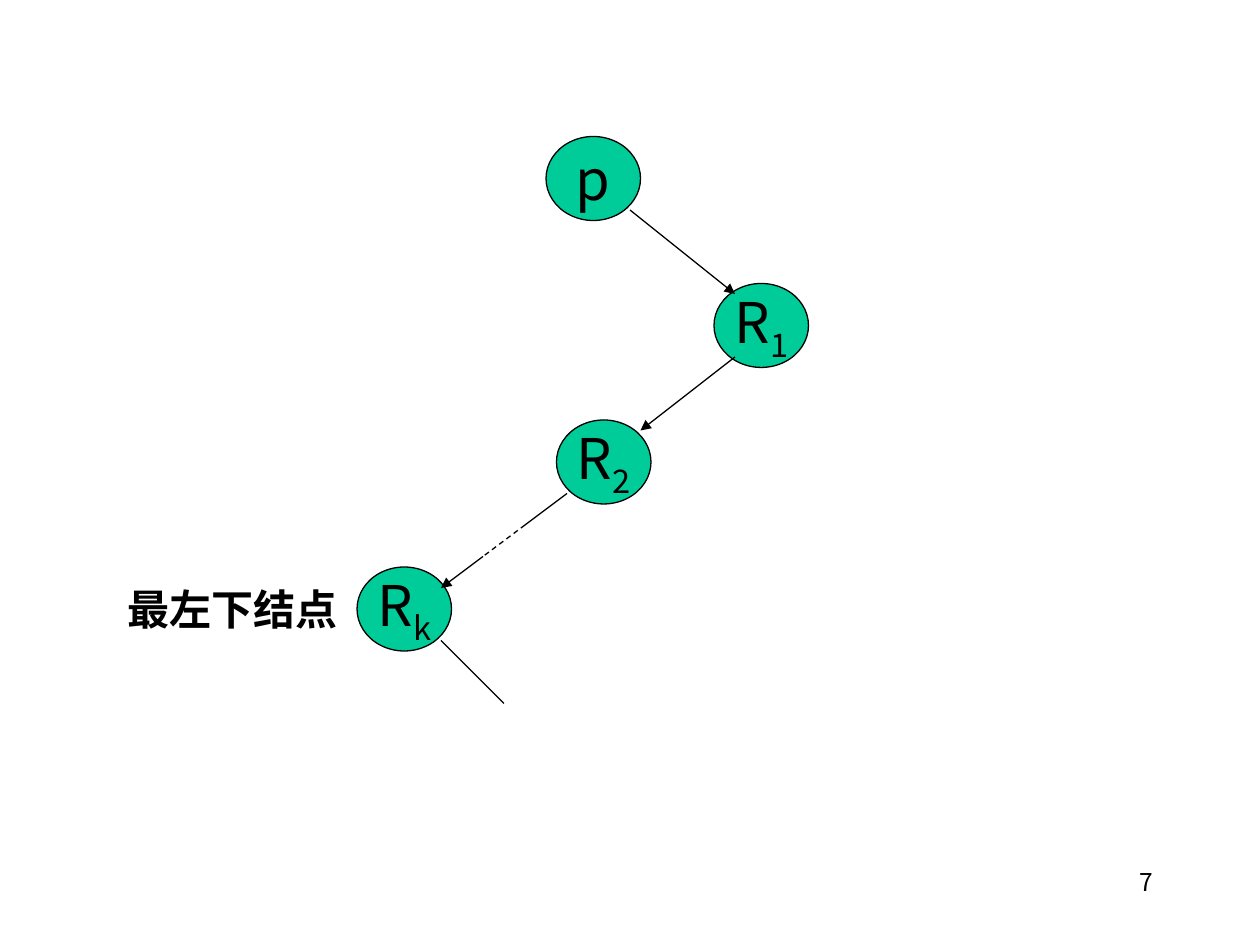
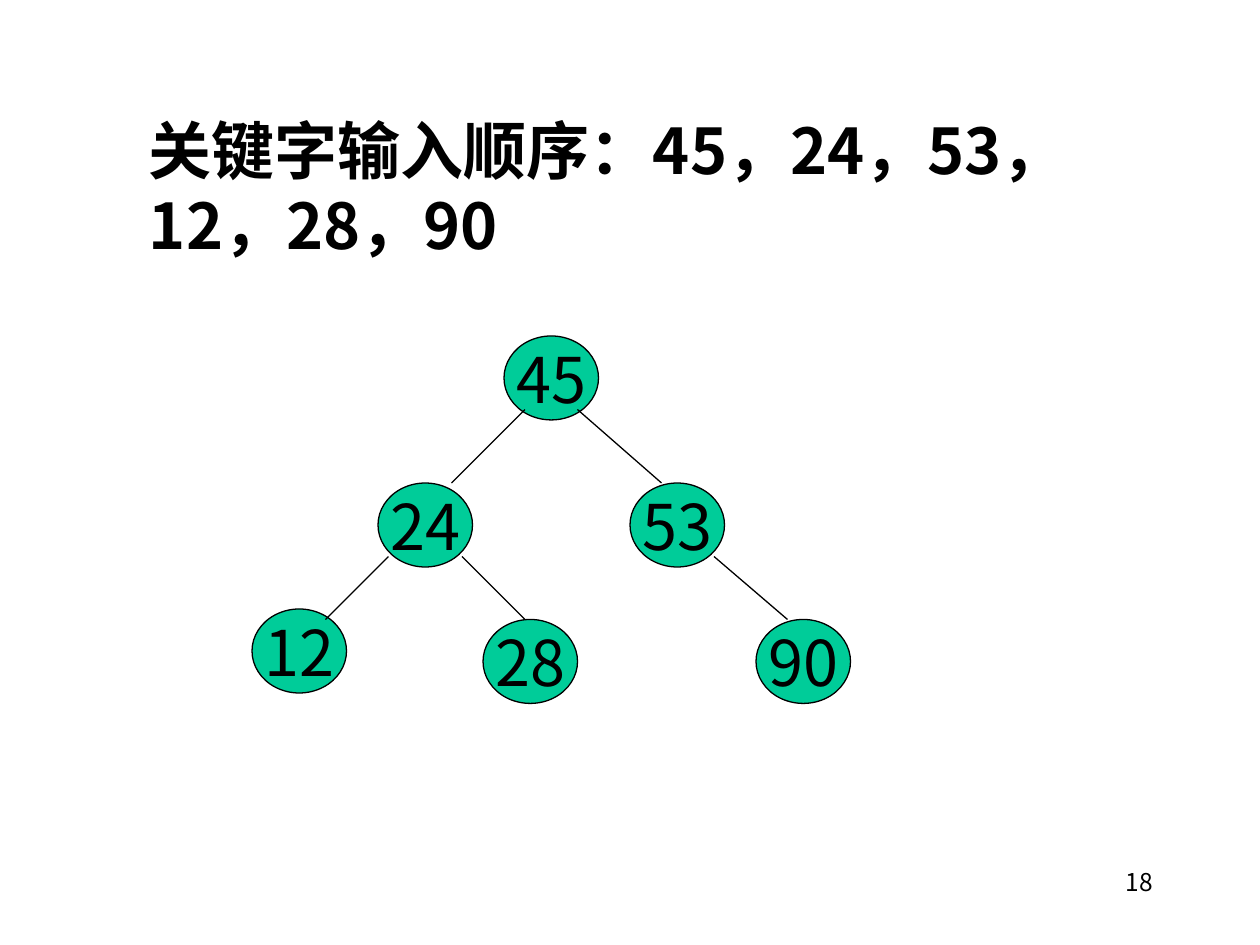
from dataclasses import dataclass

from lxml.etree import SubElement
from pptx import Presentation
from pptx.dml.color import RGBColor
from pptx.enum.dml import MSO_LINE
from pptx.enum.shapes import MSO_CONNECTOR, MSO_SHAPE
from pptx.enum.text import MSO_ANCHOR, PP_ALIGN
from pptx.oxml.ns import qn
from pptx.util import Pt


@dataclass(frozen=True)
class Theme:
    """Colours, font and sizes shared by the slides."""

    ink: RGBColor = RGBColor(0x00, 0x00, 0x00)
    node_fill: RGBColor = RGBColor(0x00, 0xCC, 0x99)
    font: str = "Noto Sans CJK JP"
    heading: int = 36
    symbol: int = 32
    label: int = 24
    footer: int = 14
    line: float = 0.75
    node_size: tuple = (54, 48)


def add_run(paragraph, text, *, theme, size, bold=False, subscript=False):
    """Append formatted text to a paragraph."""
    run = paragraph.add_run()
    run.text = text
    run.font.name = theme.font
    run.font.size = Pt(size)
    run.font.bold = bold
    run.font.color.rgb = theme.ink
    properties = run._r.get_or_add_rPr()
    SubElement(properties, qn("a:ea")).set("typeface", theme.font)
    if subscript:
        properties.set("baseline", "-25000")


class TreeDeck:
    """Draws trees on the current slide in one style."""

    def __init__(self, theme):
        """Open an empty 4:3 presentation."""
        self.theme = theme
        self.deck = Presentation()
        self.deck.slide_width, self.deck.slide_height = Pt(720), Pt(540)
        self.slide = None

    def new_slide(self, number):
        """Start a slide and print its number."""
        self.slide = self.deck.slides.add_slide(self.deck.slide_layouts[6])
        self.text(str(number), 516, 492, 150, 36,
                  size=self.theme.footer, align=PP_ALIGN.RIGHT)

    def text(self, content, left, top, width, height, *, size,
             bold=False, align=PP_ALIGN.LEFT):
        """Add a wrapping text box."""
        frame = self.slide.shapes.add_textbox(
            Pt(left), Pt(top), Pt(width), Pt(height)).text_frame
        frame.word_wrap = True
        paragraph = frame.paragraphs[0]
        paragraph.alignment = align
        add_run(paragraph, content, theme=self.theme, size=size, bold=bold)

    def node(self, label, left, top, *, size, index=""):
        """Add a tree node with an optional subscript index."""
        width, height = self.theme.node_size
        ellipse = self.slide.shapes.add_shape(
            MSO_SHAPE.OVAL, Pt(left), Pt(top), Pt(width), Pt(height))
        ellipse.shadow.inherit = False
        ellipse.fill.solid()
        ellipse.fill.fore_color.rgb = self.theme.node_fill
        ellipse.line.color.rgb = self.theme.ink
        ellipse.line.width = Pt(self.theme.line)
        frame = ellipse.text_frame
        frame.word_wrap = False
        frame.vertical_anchor = MSO_ANCHOR.MIDDLE
        paragraph = frame.paragraphs[0]
        paragraph.alignment = PP_ALIGN.CENTER
        add_run(paragraph, label, theme=self.theme, size=size)
        if index:
            add_run(paragraph, index, theme=self.theme, size=size, subscript=True)

    def edge(self, start, end, *, arrow=False, dashed=False):
        """Add a straight tree edge."""
        edge = self.slide.shapes.add_connector(
            MSO_CONNECTOR.STRAIGHT, *map(Pt, (*start, *end)))
        edge.line.color.rgb = self.theme.ink
        edge.line.width = Pt(self.theme.line)
        if dashed:
            edge.line.dash_style = MSO_LINE.DASH
        if arrow:
            SubElement(edge.line._get_or_add_ln(), qn("a:tailEnd")).set("type", "triangle")
        SubElement(edge._element.spPr, qn("a:effectLst"))


def add_leftmost_path(deck):
    """Show the path from p to the leftmost node of its right subtree."""
    deck.new_slide(7)
    for label, index, left, top in (
        ("p", "", 312, 78),
        ("R", "1", 408, 162),
        ("R", "2", 318, 240),
        ("R", "k", 204, 324),
    ):
        deck.node(label, left, top, size=deck.theme.symbol, index=index)
    deck.edge((360, 120), (420, 168), arrow=True)
    deck.edge((420, 204), (366, 246), arrow=True)
    deck.edge((324, 282), (300, 300))
    deck.edge((300, 300), (276, 318), dashed=True)
    deck.edge((276, 318), (252, 336), arrow=True)
    deck.edge((252, 366), (288, 402))
    deck.text("最左下结点", 66, 330, 162, 36, size=deck.theme.label, bold=True)


def add_search_tree(deck):
    """Show the search tree built from the key sequence."""
    deck.new_slide(18)
    deck.text("关键字输入顺序：45，24，53，12，28，90", 78, 60, 558, 93.6,
              size=deck.theme.heading, bold=True)
    for key, left, top in (
        (45, 288, 192),
        (24, 216, 276),
        (53, 360, 276),
        (12, 144, 348),
        (28, 276, 354),
        (90, 432, 354),
    ):
        deck.node(str(key), left, top, size=deck.theme.heading)
    for parent, child in (
        ((300, 234), (258, 276)),
        ((330, 234), (378, 276)),
        ((222, 318), (186, 354)),
        ((264, 318), (300, 354)),
        ((408, 318), (450, 354)),
    ):
        deck.edge(parent, child)


def main():
    """Build and save both slides."""
    tree_deck = TreeDeck(Theme())
    add_leftmost_path(tree_deck)
    add_search_tree(tree_deck)
    tree_deck.deck.save("out.pptx")


if __name__ == "__main__":
    main()
